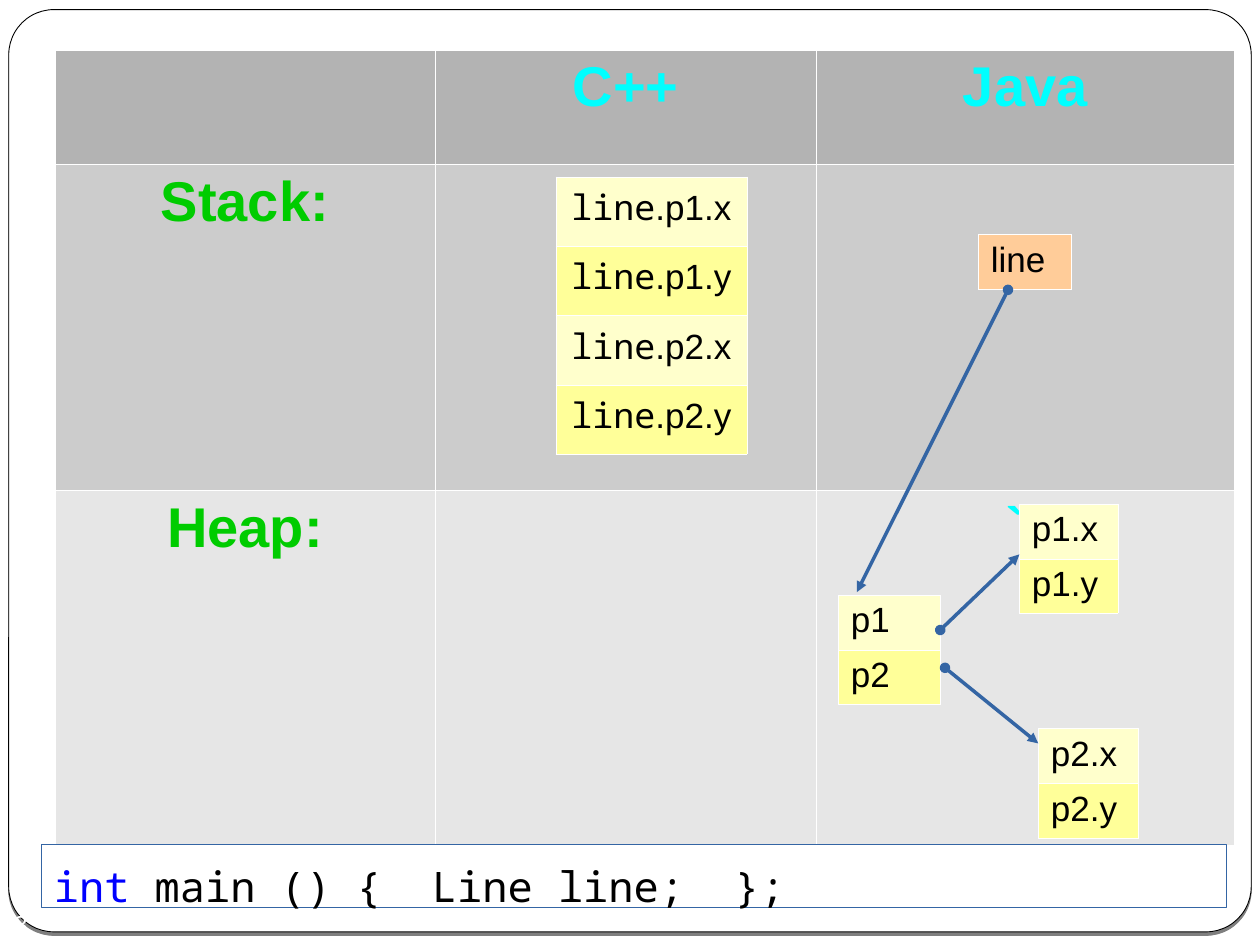
from lxml import etree
from pptx import Presentation
from pptx.dml.color import RGBColor
from pptx.enum.shapes import MSO_CONNECTOR, MSO_SHAPE
from pptx.enum.text import MSO_ANCHOR, PP_ALIGN
from pptx.oxml import parse_xml
from pptx.oxml.ns import nsdecls, qn
from pptx.util import Pt

CENTER, LEFT = PP_ALIGN.CENTER, PP_ALIGN.LEFT
MIDDLE, TOP = MSO_ANCHOR.MIDDLE, MSO_ANCHOR.TOP
RECTANGLE, ROUNDED = MSO_SHAPE.RECTANGLE, MSO_SHAPE.ROUNDED_RECTANGLE
STRAIGHT = MSO_CONNECTOR.STRAIGHT
SANS, MONO = "Arial", "Noto Sans Mono"
BLUE = "3465A4"
YELLOWS = ["FFFFCC", "FFFF99"]
rgb = RGBColor.from_string


def write(paragraph, runs, size, align=LEFT, bold=False):
    """Fill a paragraph with (text, font, colour) runs."""
    paragraph.alignment = align
    for text, font, color in runs:
        run = paragraph.add_run()
        run.text = text
        run.font.name = font
        run.font.size = Pt(size)
        run.font.bold = bold
        run.font.color.rgb = rgb(color)


def add_grid(left, top, widths, heights, fills):
    """Add a table with hairline white borders and one fill per row."""
    table = slide.shapes.add_table(
        len(heights), len(widths), Pt(left), Pt(top), Pt(sum(widths)), Pt(sum(heights))
    ).table
    table.first_row = table.horz_banding = False
    for column, width in zip(table.columns, widths):
        column.width = Pt(width)
    for row, height, color in zip(table.rows, heights, fills):
        row.height = Pt(height)
        for cell in row.cells:
            properties = cell._tc.get_or_add_tcPr()
            for side in ("lnL", "lnR", "lnT", "lnB"):
                properties.append(parse_xml(
                    f'<a:{side} {nsdecls("a")} w="720"><a:solidFill>'
                    f'<a:srgbClr val="FFFFFF"/></a:solidFill></a:{side}>'))
            cell.fill.solid()
            cell.fill.fore_color.rgb = rgb(color)
    return table


prs = Presentation()
prs.slide_width, prs.slide_height = Pt(720), Pt(540)
slide = prs.slides.add_slide(prs.slide_layouts[6])

# Rounded page frame with a hard shadow below
frame = slide.shapes.add_shape(ROUNDED, Pt(5), Pt(5.5), Pt(710), Pt(527))
frame.adjustments[0] = 0.049
frame.fill.solid()
frame.fill.fore_color.rgb = rgb("FFFFFF")
frame.line.color.rgb = rgb("000000")
frame.line.width = Pt(0.5)
frame._element.spPr.append(parse_xml(
    f'<a:effectLst {nsdecls("a")}><a:outerShdw blurRad="0" dist="25400" dir="5400000">'
    '<a:srgbClr val="000000"><a:alpha val="50000"/></a:srgbClr>'
    '</a:outerShdw></a:effectLst>'))

# Page number
number = slide.shapes.add_textbox(Pt(0), Pt(516), Pt(24), Pt(24)).text_frame
number.margin_left = number.margin_right = number.margin_top = number.margin_bottom = 0
number.word_wrap = True
number.vertical_anchor = MIDDLE
write(number.paragraphs[0], [("3", SANS, "FFFFFF")], 14, CENTER)

# Comparison of stack and heap in both languages
comparison = add_grid(31.2, 28.4, [217.6, 217.6, 239], [65.5, 186.4, 202.4],
                      ["B3B3B3", "CCCCCC", "E6E6E6"])
for row, column, label, color in [
    (0, 1, "C++", "00FFFF"),
    (0, 2, "Java", "00FFFF"),
    (1, 0, "Stack:", "00CC00"),
    (2, 0, "Heap:", "00CC00"),
    (2, 2, "``", "00FFFF"),
]:
    paragraph = comparison.cell(row, column).text_frame.paragraphs[0]
    write(paragraph, [(label, SANS, color)], 32, CENTER, bold=True)

# Code line
code_box = slide.shapes.add_shape(RECTANGLE, Pt(23.7), Pt(482.5), Pt(677), Pt(36))
code_box.shadow.inherit = False
code_box.fill.background()
code_box.line.color.rgb = rgb(BLUE)
code_box.line.width = Pt(0)
code = code_box.text_frame
code.word_wrap = True
code.vertical_anchor = TOP
code.paragraphs[0].line_spacing = 1.2
write(code.paragraphs[0], [("int ", MONO, "0000FF"),
                           ("main () {  Line line;  };", MONO, "000000")], 24)

# C++ object: all four coordinates on the stack
fields = [".p1.x", ".p1.y", ".p2.x", ".p2.y"]
cpp_line = add_grid(317.5, 101, [109.5], [39.6] * 4, YELLOWS * 2)
for row, field in enumerate(fields):
    write(cpp_line.cell(row, 0).text_frame.paragraphs[0],
          [("line", MONO, "000000"), (field, SANS, "000000")], 20, CENTER)

# Java objects: a reference on the stack, the rest on the heap
for left, top, width, names, fills in [
    (559, 134, 53.3, ["line"], ["FFCC99"]),
    (593.3, 416.3, 57.3, ["p2.x", "p2.y"], YELLOWS),
    (479, 340, 58.5, ["p1", "p2"], YELLOWS),
    (582.5, 288, 56.5, ["p1.x", "p1.y"], YELLOWS),
]:
    java_object = add_grid(left, top, [width], [29.7] * len(names), fills)
    for row, name in enumerate(names):
        write(java_object.cell(row, 0).text_frame.paragraphs[0],
              [(name, SANS, "000000")], 20)

# References between the Java objects
for x1, y1, x2, y2 in [
    (537.3, 360, 582.5, 316.8),
    (576, 165.6, 489.6, 338.4),
    (540, 381.6, 593.3, 424.8),
]:
    reference = slide.shapes.add_connector(STRAIGHT, Pt(x1), Pt(y1), Pt(x2), Pt(y2))
    reference.line.color.rgb = rgb(BLUE)
    reference.line.width = Pt(0)
    properties = reference._element.spPr
    outline = properties.find(qn("a:ln"))
    etree.SubElement(outline, qn("a:headEnd"), type="oval")
    etree.SubElement(outline, qn("a:tailEnd"), type="triangle")
    etree.SubElement(properties, qn("a:effectLst"))

prs.save("out.pptx")
